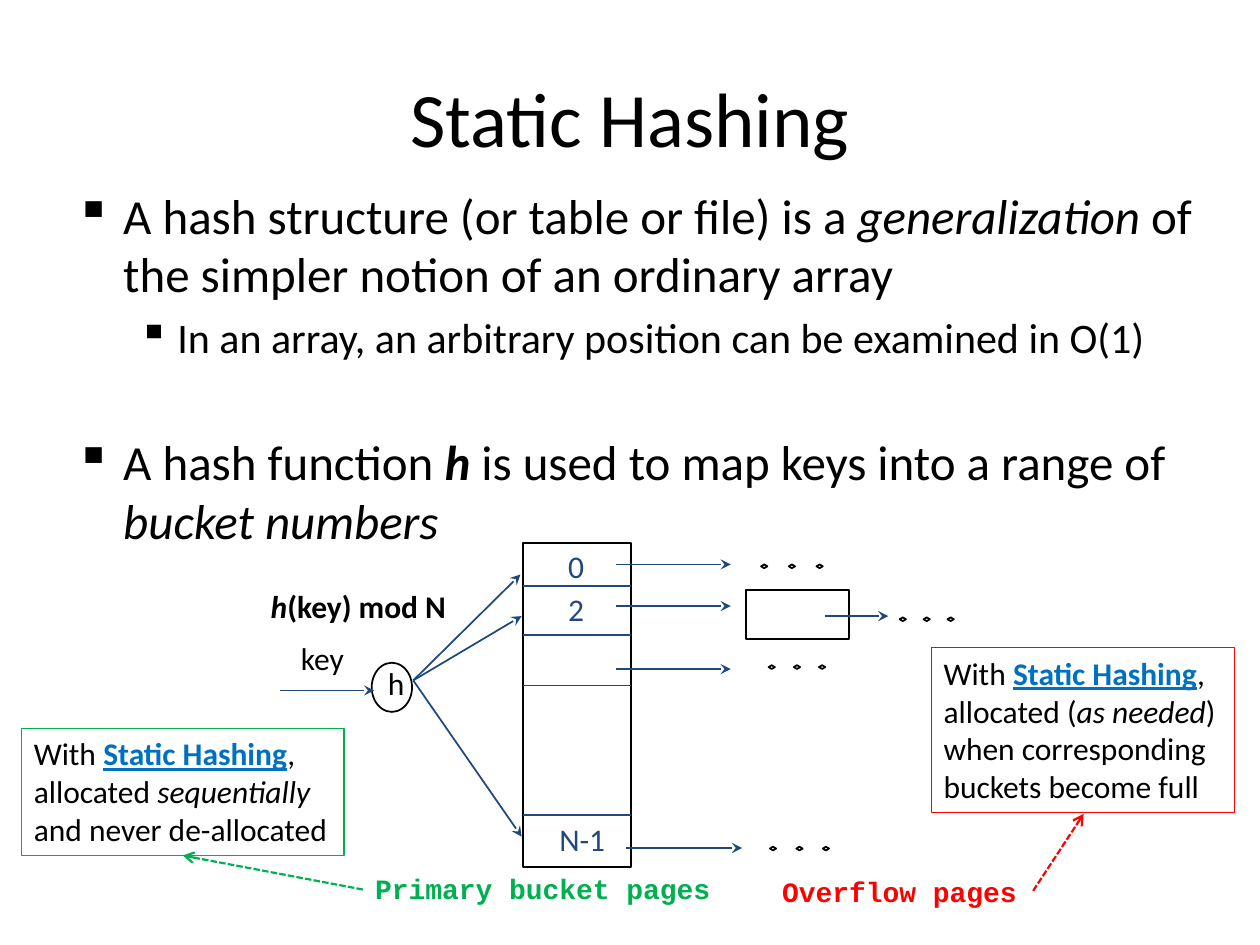
import pptx
import pptx.util
import pptx.dml.color
import pptx.enum.dml
import pptx.enum.shapes
import pptx.enum.text
import pptx.oxml
import pptx.oxml.ns

Inches = pptx.util.Inches
Pt = pptx.util.Pt
SHAPE = pptx.enum.shapes.MSO_SHAPE
ALIGN = pptx.enum.text.PP_ALIGN
ANCHOR = pptx.enum.text.MSO_ANCHOR

COLORS = {"black": "000000", "navy": "1F497D", "green": "00B050",
          "red": "FF0000", "blue": "0070C0"}


def rgb(name):
    return pptx.dml.color.RGBColor.from_string(COLORS[name])


def style(run, size, color, face, marks):
    font = run.font
    font.size = Pt(size)
    font.name = face
    font.bold = "b" in marks
    font.italic = "i" in marks
    font.underline = "u" in marks
    font.color.rgb = rgb("blue" if "u" in marks else color)


def fill_para(para, parts, size, color="black", face="Calibri"):
    if len(parts) == 1:
        para.text = parts[0][0]
    else:
        for words, _ in parts:
            para.add_run().text = words
    marks = [mark for _, mark in parts]
    for pos, run in enumerate(para.runs):
        style(run, size, color, face, marks[min(pos, len(marks) - 1)])


def fill_frame(frame, paras, size, color="black", face="Calibri"):
    for pos, parts in enumerate(paras):
        para = frame.paragraphs[0] if pos == 0 else frame.add_paragraph()
        para.alignment = ALIGN.LEFT
        fill_para(para, parts, size, color, face)


def add_label(slide, box, parts, color="black", size=18, face="Calibri"):
    frame = slide.shapes.add_textbox(*map(Inches, box)).text_frame
    frame.word_wrap = False
    fill_frame(frame, [parts], size, color, face)


def add_box(slide, kind, box, color="black", width=1):
    shape = slide.shapes.add_shape(kind, *map(Inches, box))
    shape.shadow.inherit = False
    shape.fill.background()
    shape.line.color.rgb = rgb(color)
    shape.line.width = Pt(width)
    return shape


def add_note(slide, box, color, paras):
    frame = add_box(slide, SHAPE.RECTANGLE, box, color, 0.75).text_frame
    frame.word_wrap = False
    frame.vertical_anchor = ANCHOR.TOP
    fill_frame(frame, paras, 18)


def add_line(slide, start, end, color="navy", width=1, head=None, dash=False):
    kind = pptx.enum.shapes.MSO_CONNECTOR.STRAIGHT
    link = slide.shapes.add_connector(kind, *map(Inches, start + end))
    link.line.color.rgb = rgb(color)
    link.line.width = Pt(width)
    if dash:
        link.line.dash_style = pptx.enum.dml.MSO_LINE.SQUARE_DOT
        link.line._ln.prstDash.set("val", "sysDash")
    if head:
        tip = pptx.oxml.parse_xml(
            f'<a:tailEnd {pptx.oxml.ns.nsdecls("a")} type="{head}"/>')
        link.line._ln.append(tip)
    link._element.spPr.append(pptx.oxml.parse_xml(
        f'<a:effectLst {pptx.oxml.ns.nsdecls("a")}/>'))


def add_dots(slide, left, top, step):
    for pos in range(3):
        add_box(slide, SHAPE.DIAMOND, (left + pos * step, top, 0.05, 0.03))


def add_title(slide):
    title = slide.shapes.title
    title.left, title.top = Inches(0.5), Inches(0.3)
    title.width, title.height = Inches(9), Inches(1.25)
    frame = title.text_frame
    frame.text = "Static Hashing"
    frame.vertical_anchor = ANCHOR.MIDDLE
    frame.paragraphs[0].alignment = ALIGN.CENTER
    style(frame.paragraphs[0].runs[0], 44, "black", "Calibri", "")


def add_points(slide):
    box = slide.shapes.add_textbox(
        Inches(0.5), Inches(1.42), Inches(9.33), Inches(5.42))
    frame = box.text_frame
    frame.word_wrap = True
    points = [
        (0, 28, 0, [("A hash structure (or table or file) is a ", ""),
                    ("generalization", "i"),
                    (" of the simpler notion of an ordinary array", "")]),
        (1, 24, 5, [("In an array, an arbitrary position can be "
                     "examined in O(1)", "")]),
        (0, 28, 40, [("A hash function ", ""), ("h", "bi"),
                     (" is used to map keys into a range of ", ""),
                     ("bucket numbers", "i")])]
    for pos, (level, size, gap, parts) in enumerate(points):
        para = frame.paragraphs[0] if pos == 0 else frame.add_paragraph()
        para.level = level
        para.space_before = Pt(gap)
        fill_para(para, parts, size)
        left, hang = ((0.38, 0.38), (0.81, 0.31))[level]
        props = para._p.get_or_add_pPr()
        props.set("marL", str(Inches(left)))
        props.set("indent", str(-Inches(hang)))
        props.append(pptx.oxml.parse_xml(
            f'<a:buChar {pptx.oxml.ns.nsdecls("a")} char="▪"/>'))


def add_table(slide):
    left, right = 4.15, 5.01
    add_box(slide, SHAPE.RECTANGLE, (left, 4.31, right - left, 2.57))
    add_box(slide, SHAPE.RECTANGLE, (5.92, 4.68, 0.82, 0.39))
    add_box(slide, SHAPE.OVAL, (2.95, 5.26, 0.32, 0.39))
    for dots in ((6.04, 4.48, 0.22), (7.14, 4.9, 0.19),
                 (6.1, 5.28, 0.2), (6.11, 6.72, 0.21)):
        add_dots(slide, *dots)
    for row in (4.65, 5.04, 5.44, 6.47):
        add_line(slide, (left, row), (right, row))
    for x, y, width, words in ((4.41, 4.29, 0.32, "0"),
                               (4.41, 4.63, 0.32, "2"),
                               (4.34, 6.46, 0.59, "N-1")):
        add_label(slide, (x, y, width, 0.4), [(words, "")], "navy")


def add_flow(slide):
    for x, y, width in ((2.22, 5.48, 0.75), (4.89, 4.48, 0.91),
                        (4.89, 4.81, 0.91), (4.89, 5.31, 0.91),
                        (4.97, 6.73, 0.92), (6.55, 4.89, 0.5)):
        add_line(slide, (x, y), (x + width, y), head="stealth")
    for end in ((4.13, 4.56), (4.14, 4.89), (4.14, 6.64)):
        add_line(slide, (3.28, 5.4), end, head="stealth")
    add_label(slide, (2.05, 4.61, 1.6, 0.4),
              [("h", "bi"), ("(key) mod N", "b")])
    add_label(slide, (2.98, 5.22, 0.32, 0.4), [("h", "")])
    add_label(slide, (2.29, 5.02, 0.56, 0.4), [("key", "")])


def add_notes(slide):
    first = [("With ", ""), ("Static Hashing", "bu"), (", ", "")]
    add_note(slide, (0.17, 5.78, 2.56, 1.01), "green", [
        first,
        [("allocated ", ""), ("sequentially ", "i")],
        [("and never de-allocated", "")]])
    add_note(slide, (7.39, 5.14, 2.41, 1.31), "red", [
        first,
        [("allocated (", ""), ("as needed", "i"), (")", "")],
        [("when corresponding \vbuckets become full", "")]])
    for box, words, color, start, end in (
            ((2.88, 6.87, 2.9, 0.37), "Primary bucket pages", "green",
             (2.88, 7.06), (1.45, 6.79)),
            ((6.11, 6.89, 2.09, 0.37), "Overflow pages", "red",
             (8.2, 7.07), (8.6, 6.46))):
        add_label(slide, box, [(words, "b")], color, 16, "Courier New")
        add_line(slide, start, end, color, 1.25, "arrow", True)


def main():
    deck = pptx.Presentation()
    deck.slide_width, deck.slide_height = Inches(10), Inches(7.5)
    slide = deck.slides.add_slide(deck.slide_layouts[5])
    add_title(slide)
    add_points(slide)
    add_table(slide)
    add_flow(slide)
    add_notes(slide)
    deck.save("out.pptx")


main()
